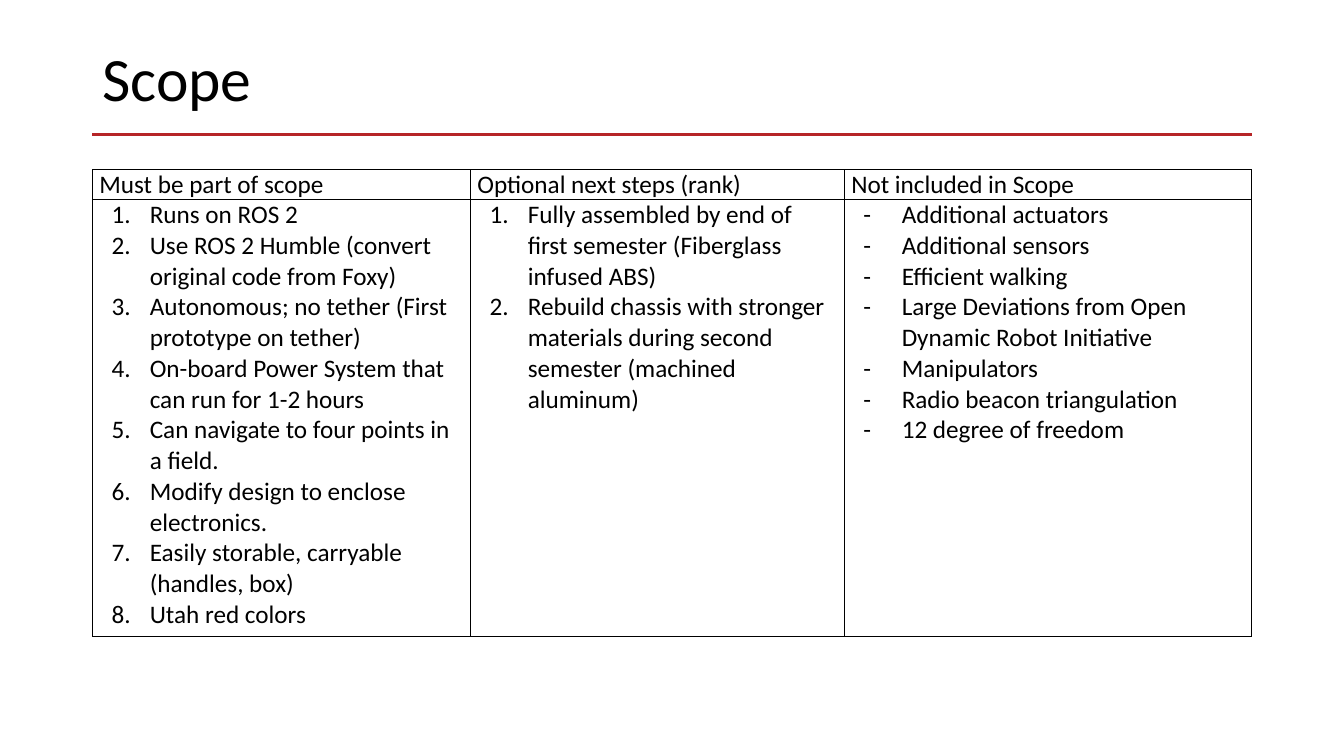
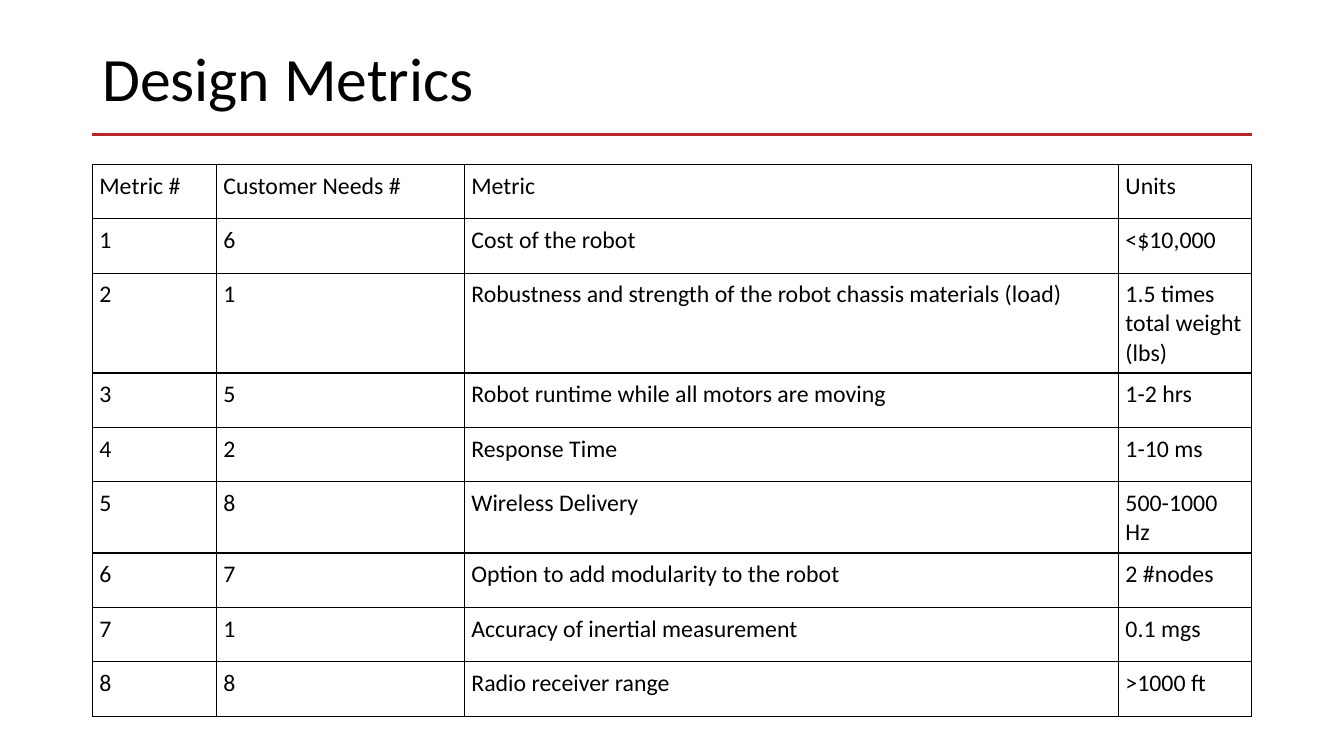
from typing import NamedTuple

from lxml.etree import SubElement
from pptx import Presentation
from pptx.dml.color import RGBColor
from pptx.enum.shapes import MSO_CONNECTOR as Connector
from pptx.enum.text import MSO_ANCHOR as Anchor
from pptx.oxml.ns import qn
from pptx.util import Inches, Pt

BLACK = RGBColor(0x00, 0x00, 0x00)
WHITE = RGBColor(0xFF, 0xFF, 0xFF)
RED = RGBColor(0xB6, 0x25, 0x27)
FONT = "Calibri"
BLANK_LAYOUT = 6

# The page is a grid of 160 columns by 90 rows.
UNIT = Inches(1 / 12)
LEFT, WIDTH = 11, 138
RULE_ROW = 16


class Box(NamedTuple):
    left: float
    top: float
    width: float
    height: float

    def lengths(self):
        return [round(value * UNIT) for value in self]


TITLE_BOX = Box(LEFT, 4.8, WIDTH, 9.84)

SCOPE = [
    ("Must be part of scope", "1.", [
        "Runs on ROS 2",
        "Use ROS 2 Humble (convert original code from Foxy)",
        "Autonomous; no tether (First prototype on tether)",
        "On-board Power System that can run for 1-2 hours",
        "Can navigate to four points in a field.",
        "Modify design to enclose electronics.",
        "Easily storable, carryable (handles, box)",
        "Utah red colors",
    ]),
    ("Optional next steps (rank)", "1.", [
        "Fully assembled by end of first semester (Fiberglass infused ABS)",
        "Rebuild chassis with stronger materials during second semester "
        "(machined aluminum)",
    ]),
    ("Not included in Scope", "-", [
        "Additional actuators",
        "Additional sensors",
        "Efficient walking",
        "Large Deviations from Open Dynamic Robot Initiative",
        "Manipulators",
        "Radio beacon triangulation",
        "12 degree of freedom",
    ]),
]

METRICS = [
    ("Metric #", "Customer Needs #", "Metric", "Units"),
    ("1", "6", "Cost of the robot", "<$10,000"),
    ("2", "1", "Robustness and strength of the robot chassis materials (load)",
     "1.5 times total weight (lbs)"),
    ("3", "5", "Robot runtime while all motors are moving", "1-2 hrs"),
    ("4", "2", "Response Time", "1-10 ms"),
    ("5", "8", "Wireless Delivery", "500-1000 Hz"),
    ("6", "7", "Option to add modularity to the robot", "2 #nodes"),
    ("7", "1", "Accuracy of inertial measurement", "0.1 mgs"),
    ("8", "8", "Radio receiver range", ">1000 ft"),
]


def add_bullet(para, bullet):
    """Hang the paragraph behind a dash, or a running number for "1."."""
    props = para._p.get_or_add_pPr()
    props.set("marL", str(Inches(0.5)))
    props.set("indent", str(Inches(-0.38)))
    colour = SubElement(props, qn("a:buClr"))
    SubElement(colour, qn("a:srgbClr"), val=str(BLACK))
    SubElement(props, qn("a:buFont"), typeface=FONT)
    if bullet == "1.":
        SubElement(props, qn("a:buAutoNum"), type="arabicPeriod")
    else:
        SubElement(props, qn("a:buChar"), char=bullet)


def write(frame, lines, size, color=BLACK, bullet=None, line_spacing=None):
    for index, line in enumerate(lines):
        para = frame.add_paragraph() if index else frame.paragraphs[0]
        if bullet:
            add_bullet(para, bullet)
        if line_spacing:
            para.line_spacing = line_spacing
        span = para.add_run()
        span.text = line
        span.font.name = FONT
        span.font.size = Pt(size)
        span.font.color.rgb = color


def add_title(page, box, title):
    frame = page.shapes.add_textbox(*box.lengths()).text_frame
    frame.word_wrap = True
    frame.vertical_anchor = Anchor.MIDDLE
    write(frame, [title], size=44, line_spacing=0.9)


def add_rule(page, left, row, width):
    start, end, height = (round(n * UNIT) for n in (left, left + width, row))
    rule = page.shapes.add_connector(
        Connector.STRAIGHT, start, height, end, height)
    rule.line.color.rgb = RED
    rule.line.width = Pt(2.25)
    SubElement(rule._element.spPr, qn("a:effectLst"))


def add_page(deck, title):
    page = deck.slides.add_slide(deck.slide_layouts[BLANK_LAYOUT])
    page.background.fill.solid()
    page.background.fill.fore_color.rgb = WHITE
    add_rule(page, LEFT, RULE_ROW, WIDTH)
    add_title(page, TITLE_BOX, title)
    return page


def style_cell(cell, border, pad):
    cell.margin_left = cell.margin_right = Inches(0.07)
    cell.margin_top = cell.margin_bottom = Inches(pad)
    props = cell._tc.get_or_add_tcPr()
    for side in ("lnL", "lnR", "lnT", "lnB"):
        line = SubElement(props, qn(f"a:{side}"), w=str(Pt(border)))
        fill = SubElement(line, qn("a:solidFill"))
        SubElement(fill, qn("a:srgbClr"), val=str(BLACK))
    cell.fill.background()


def add_grid(page, box, columns, rows, border, pad):
    """Add an empty ruled table; columns and rows are relative sizes."""
    frame = page.shapes.add_table(len(rows), len(columns), *box.lengths())
    table = frame.table
    table.first_row = table.horz_banding = False
    for column, share in zip(table.columns, columns):
        column.width = round(box.width * UNIT * share / sum(columns))
    for row, share in zip(table.rows, rows):
        row.height = round(box.height * UNIT * share / sum(rows))
    for cell in table.iter_cells():
        style_cell(cell, border, pad)
    return table


def build_scope(deck):
    page = add_page(deck, "Scope")
    table = add_grid(page, Box(LEFT, 20.16, WIDTH, 55.44),
                     columns=(3.75, 3.71, 4.04), rows=(0.29, 4.33),
                     border=0.5, pad=0)
    for index, (heading, bullet, items) in enumerate(SCOPE):
        write(table.cell(0, index).text_frame, [heading], size=18)
        write(table.cell(1, index).text_frame, items, size=18, bullet=bullet)


def build_metrics(deck):
    page = add_page(deck, "Design Metrics")
    row_height = 6.48
    table = add_grid(page,
                     Box(LEFT, 19.56, WIDTH, row_height * len(METRICS)),
                     columns=(1.23, 2.46, 6.49, 1.32),
                     rows=[1] * len(METRICS), border=1, pad=0.07)
    for row, values in zip(table.rows, METRICS):
        for cell, value in zip(row.cells, values):
            write(cell.text_frame, [value], size=17)


def main():
    deck = Presentation()
    deck.slide_width, deck.slide_height = 160 * UNIT, 90 * UNIT
    build_scope(deck)
    build_metrics(deck)
    deck.save("out.pptx")


if __name__ == "__main__":
    main()
